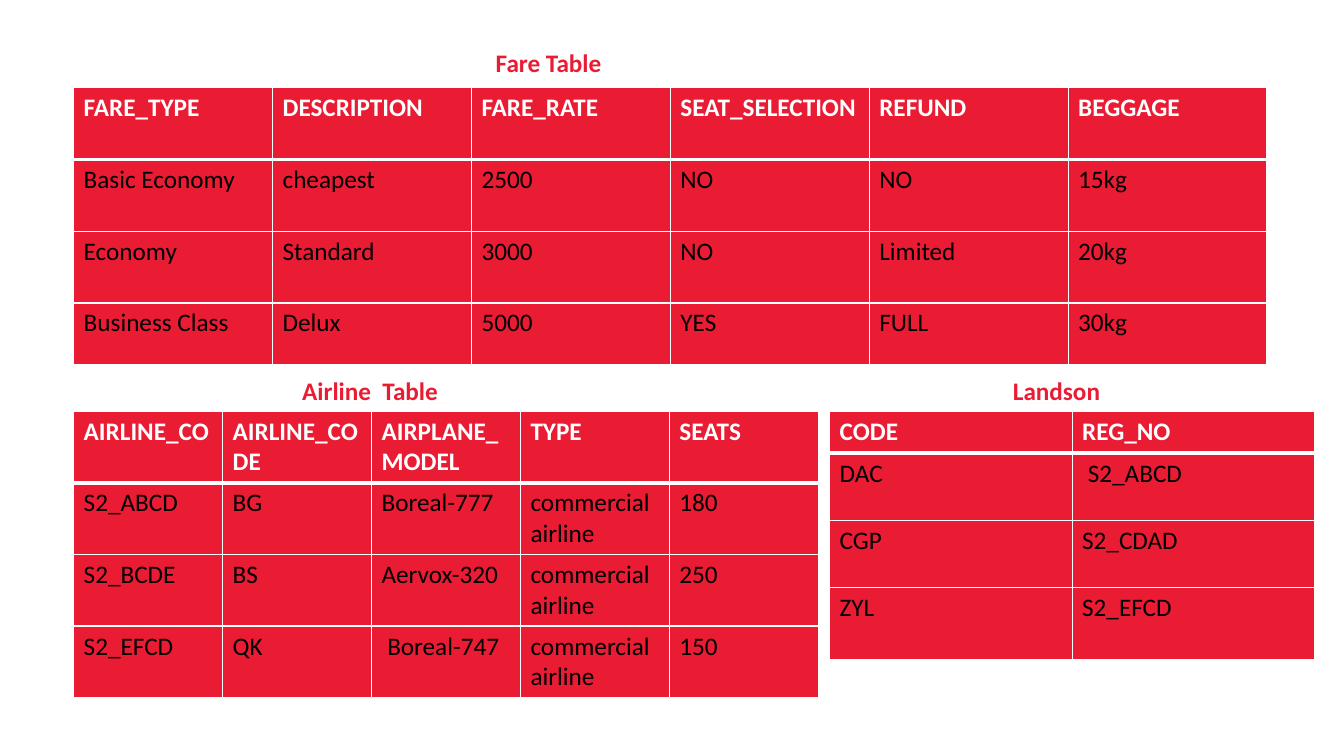
from lxml import etree
from pptx import Presentation
from pptx import util as u
from pptx.dml.color import RGBColor
from pptx.enum import text
from pptx.oxml import ns

COLORS = {"red": "E91C34", "white": "FFFFFF", "black": "000000"}
HEADER = {"bold": True, "color": "white"}
BODY = {"bold": False, "color": "black"}
CAPTION = {"bold": True, "color": "red"}
THIN, THICK = 1, 3

FARES = [
    ["FARE_TYPE", "DESCRIPTION", "FARE_RATE", "SEAT_SELECTION", "REFUND", "BEGGAGE"],
    ["Basic Economy", "cheapest", "2500", "NO", "NO", "15kg"],
    ["Economy", "Standard", "3000", "NO", "Limited", "20kg"],
    ["Business Class", "Delux", "5000", "YES", "FULL", "30kg"],
]
AIRLINES = [
    ["AIRLINE_CO", "AIRLINE_CODE", "AIRPLANE_MODEL", "TYPE", "SEATS"],
    ["S2_ABCD", "BG", "Boreal-777", "commercial airline", "180"],
    ["S2_BCDE", "BS", "Aervox-320", "commercial airline", "250"],
    ["S2_EFCD", "QK", " Boreal-747", "commercial airline", "150"],
]
LANDINGS = [
    ["CODE", "REG_NO"],
    ["DAC", " S2_ABCD"],
    ["CGP", "S2_CDAD"],
    ["ZYL", "S2_EFCD"],
]


class Deck:
    """Holds the text style and the slide being filled."""

    def __init__(self, slide, font="Calibri", size=18):
        self.slide = slide
        self.base = {"name": font, "size": u.Pt(size)}

    def add_words(self, tf, words, style):
        r = tf.paragraphs[0].add_run()
        r.text = words
        for key, value in {**self.base, "bold": style["bold"]}.items():
            setattr(r.font, key, value)
        r.font.color.rgb = RGBColor.from_string(COLORS[style["color"]])

    def caption(self, words, left, top, width):
        sp = self.slide.shapes.add_textbox(
            u.Pt(left), u.Pt(top), u.Pt(width), u.Pt(29))
        tf = sp.text_frame
        tf.word_wrap = True
        tf.auto_size = text.MSO_AUTO_SIZE.SHAPE_TO_FIT_TEXT
        self.add_words(tf, words, CAPTION)

    def borders(self, cell, row):
        widths = {"L": THIN, "R": THIN,
                  "T": THICK if row == 1 else THIN,
                  "B": THICK if row == 0 else THIN}
        tc_pr = cell._tc.get_or_add_tcPr()
        for i, (side, width) in enumerate(widths.items()):
            ln = etree.Element(ns.qn(f"a:ln{side}"), w=str(u.Pt(width)))
            fill = etree.SubElement(ln, ns.qn("a:solidFill"))
            etree.SubElement(fill, ns.qn("a:srgbClr"), val=COLORS["white"])
            tc_pr.insert(i, ln)

    def table(self, rows, left, top, col_width, heights):
        n_cols = len(rows[0])
        table = self.slide.shapes.add_table(
            len(rows), n_cols, u.Pt(left), u.Pt(top),
            u.Pt(col_width * n_cols), u.Pt(sum(heights))).table
        for column in table.columns:
            column.width = u.Pt(col_width)
        for i, (values, height) in enumerate(zip(rows, heights)):
            table.rows[i].height = u.Pt(height)
            for j, value in enumerate(values):
                cell = table.cell(i, j)
                cell.fill.solid()
                cell.fill.fore_color.rgb = RGBColor.from_string(COLORS["red"])
                self.borders(cell, i)
                self.add_words(cell.text_frame, value, BODY if i else HEADER)


def main():
    prs = Presentation()
    prs.slide_width, prs.slide_height = u.Pt(960), u.Pt(540)
    deck = Deck(prs.slides.add_slide(prs.slide_layouts[6]))

    left, lower_top = 52.6, 293.6
    deck.table(FARES, left, 62.8, 142.1, [51.2, 51.2, 51.2, 43.8])
    deck.table(AIRLINES, left, lower_top, 106.4, [51] * 4)
    deck.table(LANDINGS, 592.6, lower_top, 173.2, [30.2, 48, 48, 51.2])

    deck.caption("Fare Table", 347, 30.2, 132.5)
    deck.caption("Airline  Table", 208.8, 264.2, 132.5)
    deck.caption("Landson", 716.4, 264.2, 149.8)
    prs.save("out.pptx")


if __name__ == "__main__":
    main()
